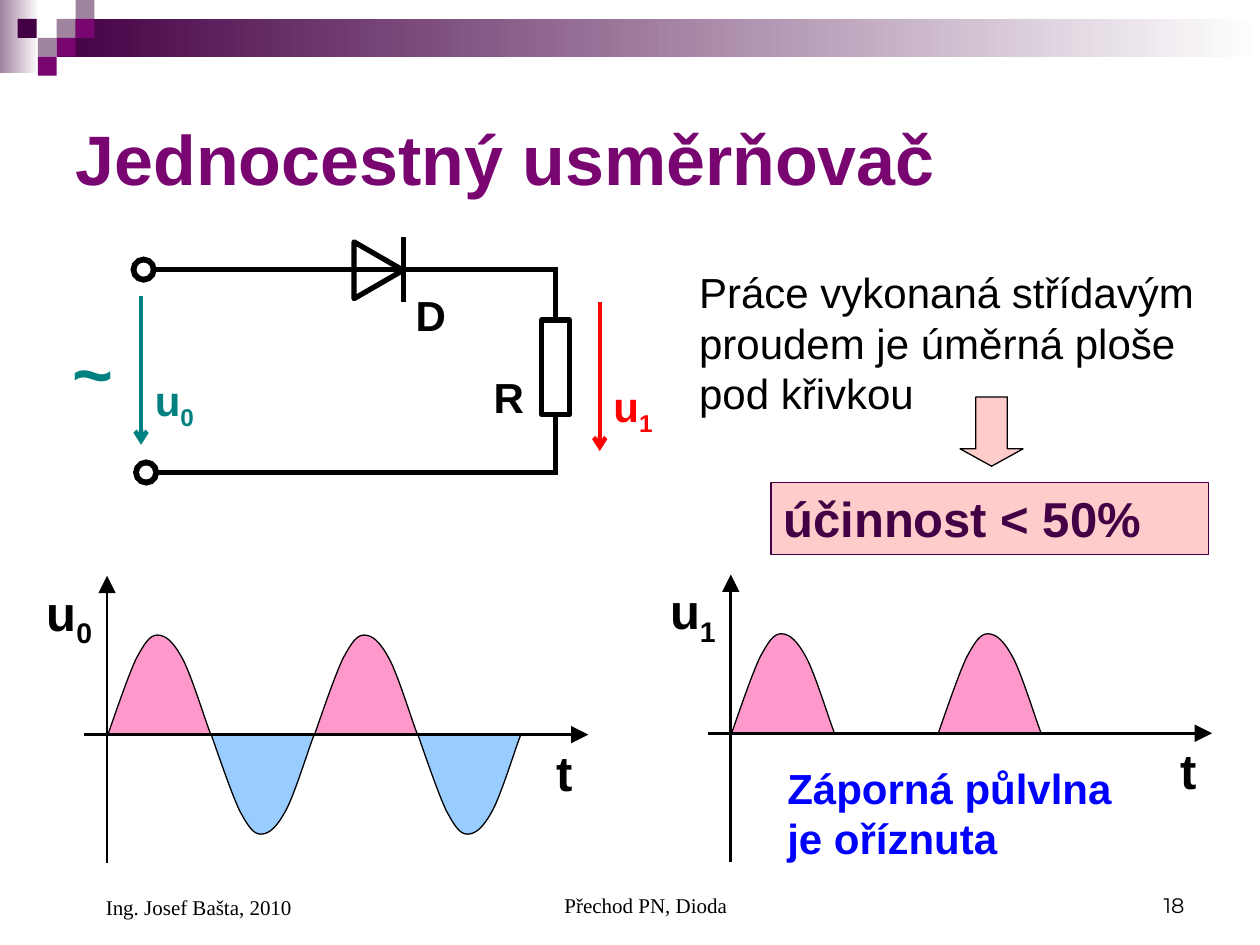
from dataclasses import dataclass
from typing import Optional

from lxml.etree import SubElement
from pptx import Presentation
from pptx.dml.color import RGBColor
from pptx.enum.shapes import MSO_CONNECTOR, MSO_SHAPE as Shape
from pptx.enum.text import MSO_ANCHOR as Anchor, PP_ALIGN as Align
from pptx.oxml.ns import qn
from pptx.util import Inches, Pt

BLACK, WHITE, TEAL, RED = "000000", "FFFFFF", "008080", "FF0000"
PLUM, MAUVE, DARK, ROSE = "790571", "9F839F", "440044", "FFCCCC"
PINK, SKY = "FF99CC", "99CCFF"

# Half-wave outline: a start point, then three points for each Bezier segment
HALF_WAVE = [(0, 0.78), (0.08, 0.55), (0.16, 0.32), (0.22, 0.19), (0.29, 0.06),
             (0.33, 0), (0.39, 0), (0.46, 0), (0.52, 0.06), (0.59, 0.19),
             (0.66, 0.32), (0.77, 0.68), (0.81, 0.78)]
WAVE_HEIGHT, WAVE_STEP = 0.78, 0.82


@dataclass
class Label:
    text: str
    box: tuple
    size: float
    color: str = BLACK
    subscript: str = ""
    bold: bool = True
    font: str = "Arial"
    align: Align = Align.LEFT
    anchor: Anchor = Anchor.TOP
    indent: float = 0


@dataclass
class Graph:
    left: float
    axis_y: float
    subscript: str
    colors: tuple  # one per half-wave, None where it is cut off


def rgb(value: str) -> RGBColor:
    return RGBColor.from_string(value)


def style(shape, fill: Optional[str], line: Optional[str], width: float = 0.75) -> None:
    shape.shadow.inherit = False
    if fill:
        shape.fill.solid()
        shape.fill.fore_color.rgb = rgb(fill)
    else:
        shape.fill.background()
    if line:
        shape.line.color.rgb = rgb(line)
        shape.line.width = Pt(width)
    else:
        shape.line.fill.background()


def add_preset(slide, kind, box: tuple, fill=None, line=None, width: float = 0.75):
    shape = slide.shapes.add_shape(kind, *map(Inches, box))
    style(shape, fill, line, width)
    return shape


def add_gradient(slide, box: tuple, color: str) -> None:
    shape = add_preset(slide, Shape.RECTANGLE, box)
    shape.fill.gradient()
    shape.fill.gradient_angle = 0
    for stop, value in zip(shape.fill.gradient_stops, (color, WHITE)):
        stop.color.rgb = rgb(value)


def add_line(slide, start: tuple, end: tuple, width: float, color: str = BLACK,
             head: str = "", tail: str = "", end_size: str = "lg"):
    line = slide.shapes.add_connector(MSO_CONNECTOR.STRAIGHT, *map(Inches, start + end))
    line.line.color.rgb = rgb(color)
    line.line.width = Pt(width)
    properties = line._element.spPr
    for tag, kind in (("a:headEnd", head), ("a:tailEnd", tail)):
        if kind:
            SubElement(properties.find(qn("a:ln")), qn(tag),
                       type=kind, w=end_size, len=end_size)
    SubElement(properties, qn("a:effectLst"))
    return line


def write(shape, label: Label) -> None:
    frame = shape.text_frame
    frame.word_wrap = True
    frame.vertical_anchor = label.anchor
    frame.margin_left = Inches(0.1 + label.indent)
    paragraph = frame.paragraphs[0]
    paragraph.alignment = label.align
    for text in filter(None, (label.text, label.subscript)):
        run = paragraph.add_run()
        run.text = text
        run.font.name = label.font
        run.font.size = Pt(label.size)
        run.font.bold = label.bold
        run.font.color.rgb = rgb(label.color)
    if label.subscript:
        run._r.get_or_add_rPr().set("baseline", "-25000")


def add_label(slide, label: Label) -> None:
    write(slide.shapes.add_textbox(*map(Inches, label.box)), label)


def add_half_wave(slide, left: float, top: float, color: str, negative: bool) -> None:
    points = [(Inches(left + x), Inches(top + (WAVE_HEIGHT - y if negative else y)))
              for x, y in HALF_WAVE]
    builder = slide.shapes.build_freeform(*points[0])
    builder.add_line_segments(points[1:], close=False)
    shape = builder.convert_to_shape()
    style(shape, color, BLACK)
    # Turn every three line segments into one Bezier curve
    outline = next(shape._element.iter(qn("a:path")))
    segments = outline.findall(qn("a:lnTo"))
    for first in range(0, len(segments), 3):
        curve = SubElement(outline, qn("a:cubicBezTo"))
        for segment in segments[first:first + 3]:
            curve.append(segment[0])
            outline.remove(segment)


def add_graph(slide, graph: Graph) -> None:
    x, y = graph.left, graph.axis_y
    for index, color in enumerate(graph.colors):
        if color:
            negative = index % 2 == 1
            top = y + 0.01 if negative else y - WAVE_HEIGHT - 0.01
            add_half_wave(slide, x + 0.01 + index * WAVE_STEP, top, color, negative)
    add_line(slide, (x - 0.18, y), (x + 3.82, y), 1.5, tail="triangle")
    add_line(slide, (x, y + 1.02), (x, y - 1.26), 1.5, tail="triangle")
    add_label(slide, Label("u", (x - 0.58, y - 1.26, 0.67, 0.63), 28,
                           subscript=graph.subscript))
    add_label(slide, Label("t", (x + 3.47, y + 0.01, 0.45, 0.57), 28))


def add_circuit(slide) -> None:
    wire_x, top_y, bottom_y = 4.41, 2.14, 3.75
    # Diode
    diode = add_preset(slide, Shape.ISOSCELES_TRIANGLE, (2.78, 1.95, 0.45, 0.39),
                       line=BLACK, width=3)
    diode.rotation = 90
    add_line(slide, (3.2, 1.88), (3.2, 2.4), 3)
    # Resistor and the wires joined to it
    resistor = add_preset(slide, Shape.RECTANGLE, (4.3, 2.54, 0.22, 0.75),
                          line=BLACK, width=3)
    upper = add_line(slide, (wire_x, top_y - 0.02), (wire_x, 2.54), 3)
    upper.end_connect(resistor, 0)
    lower = add_line(slide, (wire_x, 3.29), (wire_x, bottom_y + 0.02), 3)
    lower.begin_connect(resistor, 2)
    # Terminals
    for x, y in ((1.14, top_y), (1.16, bottom_y)):
        add_line(slide, (x, y), (wire_x, y), 3, head="oval")
        add_preset(slide, Shape.OVAL, (x - 0.05, y - 0.05, 0.1, 0.1), WHITE, WHITE)
    # Voltage arrows
    for x, y, color, subscript in ((1.12, 2.35, TEAL, "0"), (4.76, 2.4, RED, "1")):
        add_line(slide, (x, y), (x, y + 1.18), 2.5, color, tail="arrow", end_size="med")
        add_label(slide, Label("u", (x + 0.01, y + 0.57, 0.62, 0.56), 24, color, subscript))
    add_label(slide, Label("D", (3.2, 2.25, 0.47, 0.5), 24))
    add_label(slide, Label("R", (3.82, 2.9, 0.47, 0.5), 24))
    add_label(slide, Label("~", (0.48, 2.57, 0.62, 0.77), 40, TEAL))


def main() -> None:
    presentation = Presentation()
    presentation.slide_width, presentation.slide_height = Inches(10), Inches(7.5)
    slide = presentation.slides.add_slide(presentation.slide_layouts[5])

    # Header band and squares
    add_gradient(slide, (0, 0, 0.31, 0.58), MAUVE)
    add_gradient(slide, (0.45, 0.15, 9.55, 0.3), DARK)
    for x, y, color in ((0.45, 0.15, MAUVE), (0.6, 0, MAUVE), (0.6, 0.15, PLUM),
                        (0.3, 0.3, MAUVE), (0.14, 0.15, DARK), (0.45, 0.3, PLUM),
                        (0.3, 0.45, PLUM)):
        add_preset(slide, Shape.RECTANGLE, (x, y, 0.15, 0.15), color)

    # Title
    heading = Label("Jednocestný usměrňovač", (0.5, 0.5, 9, 1.5), 40, PLUM,
                    anchor=Anchor.MIDDLE)
    title = slide.shapes.title
    title.left, title.top, title.width, title.height = map(Inches, heading.box)
    write(title, heading)

    # Graphs and circuit
    add_graph(slide, Graph(0.85, 5.83, "0", (PINK, SKY, PINK, SKY)))
    add_graph(slide, Graph(5.8, 5.82, "1", (PINK, None, PINK, None)))
    add_circuit(slide)

    # Explanation and conclusion
    add_label(slide, Label("Práce vykonaná střídavým proudem je úměrná ploše pod křivkou",
                           (5.45, 2.07, 4.15, 1.3), 24, bold=False))
    result = Label("účinnost < 50%", (6.12, 3.83, 3.47, 0.57), 28, DARK)
    write(add_preset(slide, Shape.RECTANGLE, result.box, ROSE, DARK), result)
    arrow = add_preset(slide, Shape.DOWN_ARROW, (7.62, 3.15, 0.5, 0.55), ROSE, BLACK)
    arrow.adjustments[1] = 0.275
    add_label(slide, Label("Záporná půlvlna je oříznuta", (6.15, 6, 3.08, 0.9), 24, "0000FF"))

    # Footer
    for text, box, font, align, indent in (
            ("Přechod PN, Dioda", (3.42, 6.83, 3.17, 0.5), "Times New Roman", Align.CENTER, 0.24),
            ("18", (7.17, 6.83, 2.33, 0.5), "Montserrat", Align.RIGHT, 0),
            ("Ing. Josef Bašta, 2010", (0.5, 6.83, 2.33, 0.52), "Times New Roman",
             Align.LEFT, 0.24)):
        add_label(slide, Label(text, box, 12, bold=False, font=font, align=align,
                               anchor=Anchor.BOTTOM, indent=indent))

    presentation.save("out.pptx")


if __name__ == "__main__":
    main()
